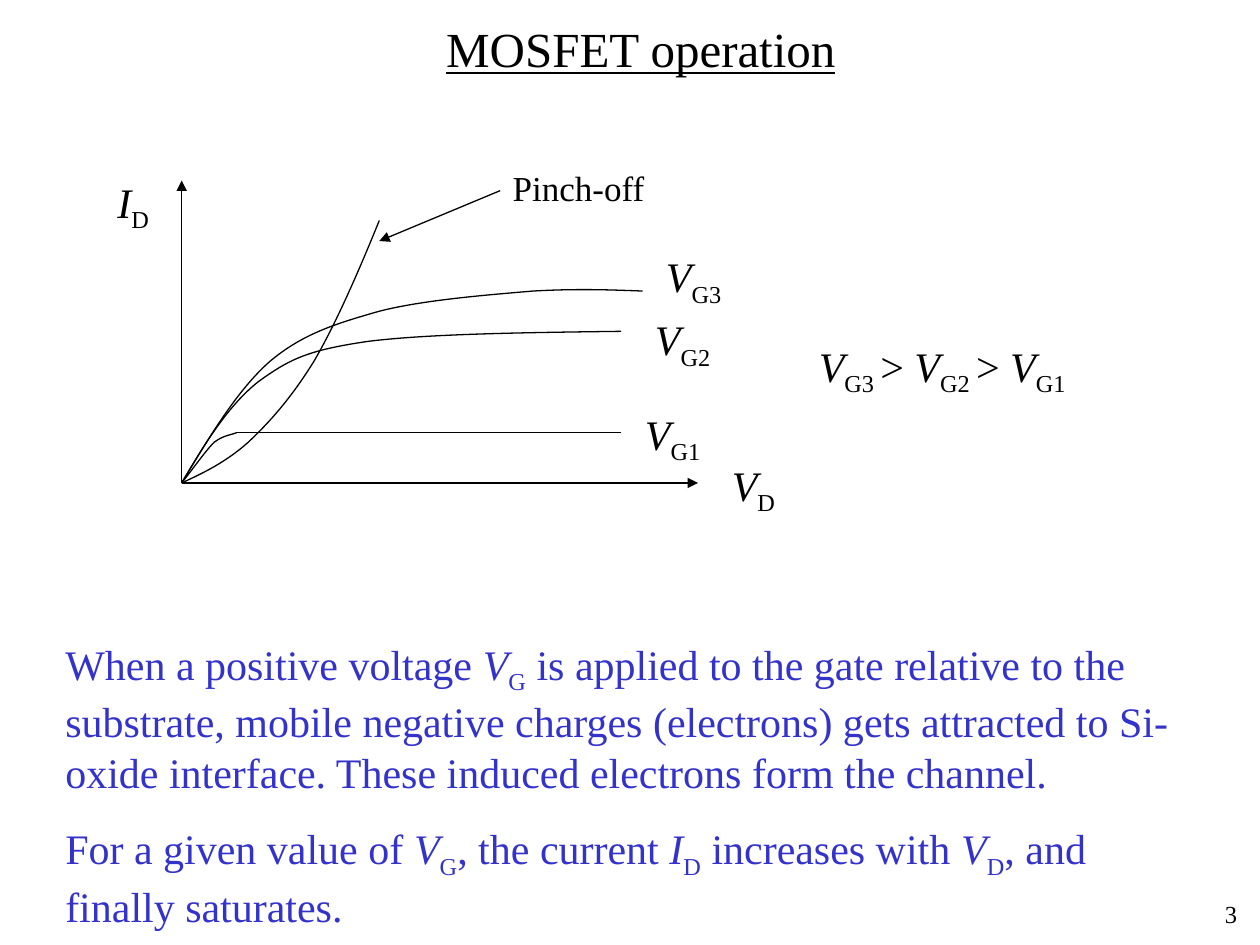
from dataclasses import dataclass

from lxml import etree
from pptx import Presentation
from pptx import util as u
from pptx.dml.color import RGBColor
from pptx.enum import shapes, text
from pptx.oxml import ns

BLACK = RGBColor(0x00, 0x00, 0x00)
BLUE = RGBColor(0x33, 0x33, 0xCC)
FONT = "Times New Roman"
WIDTH, HEIGHT = u.Inches(10), u.Inches(7.5)
COLUMNS, ROWS = 100, 75
LINE_WIDTH = u.Pt(0.75)

Point = tuple[float, float]
ORIGIN: Point = (14.42, 38.33)
KNEE: Point = (18.8, 34.33)


@dataclass
class Label:
    """Text on the grid; "|" parts runs, "/" starts italics, "_" a subscript."""
    paragraphs: list[str]
    left: float
    top: float
    width: float
    height: float
    size: float = 24
    color: RGBColor = BLACK
    wrap: bool = True
    align: text.PP_ALIGN = text.PP_ALIGN.LEFT
    space_between: float = 0


@dataclass
class Line:
    start: Point
    end: Point
    arrow: bool = False


LABELS = [
    Label(["/I|_D"], 8.33, 13.5, 5.2, 5.6),
    Label(["/V|_D"], 57.1, 35.95, 8.7, 5.6),
    Label(["Pinch-off"], 39.7, 12.7, 13.9, 4.4, size=20),
    Label(["/V|_G1"], 50.2, 31.9, 6.4, 5.6, wrap=False),
    Label(["/V|_G2"], 51, 24.4, 6.4, 5.6, wrap=False),
    Label(["/V|_G3"], 51.87, 19.4, 6.4, 5.6, wrap=False),
    Label(["/V|_G3 |> |/V|_G2 |> |/V|_G1"], 64, 26.5, 26.8, 5.6),
    Label(
        ["When a positive voltage |/V|_G| is applied to the gate relative to the "
         "substrate, mobile negative charges (electrons) gets attracted to Si-oxide "
         "interface. These induced electrons form the channel.",
         "For a given value of |/V|_G|, the current |/I|_D| increases with |/V|_D|, "
         "and finally saturates."],
        4.2, 50.17, 92.4, 24.2, color=BLUE, space_between=15),
    Label(["3"], 78.33, 70.85, 20.83, 3.2, size=14, align=text.PP_ALIGN.RIGHT),
]

LINES = [
    Line(ORIGIN, (14.42, 14.33), arrow=True),
    Line(ORIGIN, (55.4, 38.33), arrow=True),
    Line(KNEE, (49.3, 34.33)),
    Line((39.7, 15.13), (30.1, 19.13), arrow=True),
]

# Each curve leaves the origin; every three points are two handles and an end.
CURVES: dict[str, list[Point]] = {
    "VG3": [(16.6, 34.7), (18.8, 31), (21.4, 28.7),
            (24, 26.5), (26.6, 25.7), (30.1, 24.7),
            (33.6, 23.8), (38.8, 23.4), (42.3, 23.1),
            (45.8, 22.9), (48.4, 23), (51, 23.1)],
    "VG2": [(16.2, 35.3), (18.1, 32.2), (20.5, 30.3),
            (23, 28.5), (24.4, 27.8), (29.2, 27.1),
            (34, 26.5), (41.7, 26.4), (49.3, 26.3)],
    "VG1": [(15.4, 37.1), (16.3, 35.8), (17, 35.1),
            (17.8, 34.5), (18.5, 34.5), KNEE],
    "pinch-off": [(16.2, 37.5), (17.9, 36.7), (19.7, 35.1),
                  (21.4, 33.5), (23.1, 31.6), (24.9, 28.7),
                  (26.6, 25.8), (28.4, 21.7), (30.1, 17.5)],
}


def across(columns: float) -> int:
    return round(WIDTH * columns / COLUMNS)


def down(rows: float) -> int:
    return round(HEIGHT * rows / ROWS)


def grid_point(point: Point) -> tuple[int, int]:
    return across(point[0]), down(point[1])


def write_runs(paragraph, marked: str, label: Label) -> None:
    for part in marked.split("|"):
        run = paragraph.add_run()
        run.text = part.lstrip("/_")
        run.font.name = FONT
        run.font.size = u.Pt(label.size)
        run.font.color.rgb = label.color
        if part.startswith("/"):
            run.font.italic = True
        elif part.startswith("_"):
            run._r.get_or_add_rPr().set("baseline", "-25000")


def draw_label(slide, label: Label) -> None:
    box = slide.shapes.add_textbox(across(label.left), down(label.top),
                                   across(label.width), down(label.height))
    frame = box.text_frame
    frame.word_wrap = label.wrap
    frame.auto_size = text.MSO_AUTO_SIZE.SHAPE_TO_FIT_TEXT
    for index, marked in enumerate(label.paragraphs):
        paragraph = frame.add_paragraph() if index else frame.paragraphs[0]
        paragraph.alignment = label.align
        if index:
            paragraph.space_before = u.Pt(label.space_between)
        write_runs(paragraph, marked, label)


def draw_line(slide, line: Line) -> None:
    connector = slide.shapes.add_connector(
        shapes.MSO_CONNECTOR.STRAIGHT, *grid_point(line.start), *grid_point(line.end))
    connector.line.color.rgb = BLACK
    connector.line.width = LINE_WIDTH
    if line.arrow:
        etree.SubElement(connector.line._get_or_add_ln(), ns.qn("a:tailEnd"),
                         type="triangle")
    etree.SubElement(connector._element.spPr, ns.qn("a:effectLst"))


def bend_segments(curve) -> None:
    """Turn every three straight segments into one cubic Bézier segment."""
    outline = curve._element.spPr.find(".//" + ns.qn("a:path"))
    straights = outline.findall(ns.qn("a:lnTo"))
    for i in range(0, len(straights), 3):
        bend = etree.SubElement(outline, ns.qn("a:cubicBezTo"))
        for straight in straights[i:i + 3]:
            bend.append(straight[0])
            outline.remove(straight)


def draw_curve(slide, points: list[Point]) -> None:
    builder = slide.shapes.build_freeform(*grid_point(ORIGIN))
    builder.add_line_segments([grid_point(point) for point in points], close=False)
    curve = builder.convert_to_shape()
    bend_segments(curve)
    curve.fill.background()
    curve.line.color.rgb = BLACK
    curve.line.width = LINE_WIDTH
    curve.shadow.inherit = False


def write_title(slide) -> None:
    title = slide.shapes.title
    title.left, title.top = across(8.36), down(0.95)
    title.width, title.height = across(85), down(5.7)
    title.text_frame.text = "MOSFET operation"
    paragraph = title.text_frame.paragraphs[0]
    paragraph.alignment = text.PP_ALIGN.CENTER
    font = paragraph.runs[0].font
    font.name, font.size, font.underline = FONT, u.Pt(28), True
    font.color.rgb = BLACK


def main() -> None:
    deck = Presentation()
    deck.slide_width, deck.slide_height = WIDTH, HEIGHT
    slide = deck.slides.add_slide(deck.slide_layouts.get_by_name("Title Only"))
    write_title(slide)
    for line in LINES:
        draw_line(slide, line)
    for points in CURVES.values():
        draw_curve(slide, points)
    for label in LABELS:
        draw_label(slide, label)
    deck.save("out.pptx")


if __name__ == "__main__":
    main()
